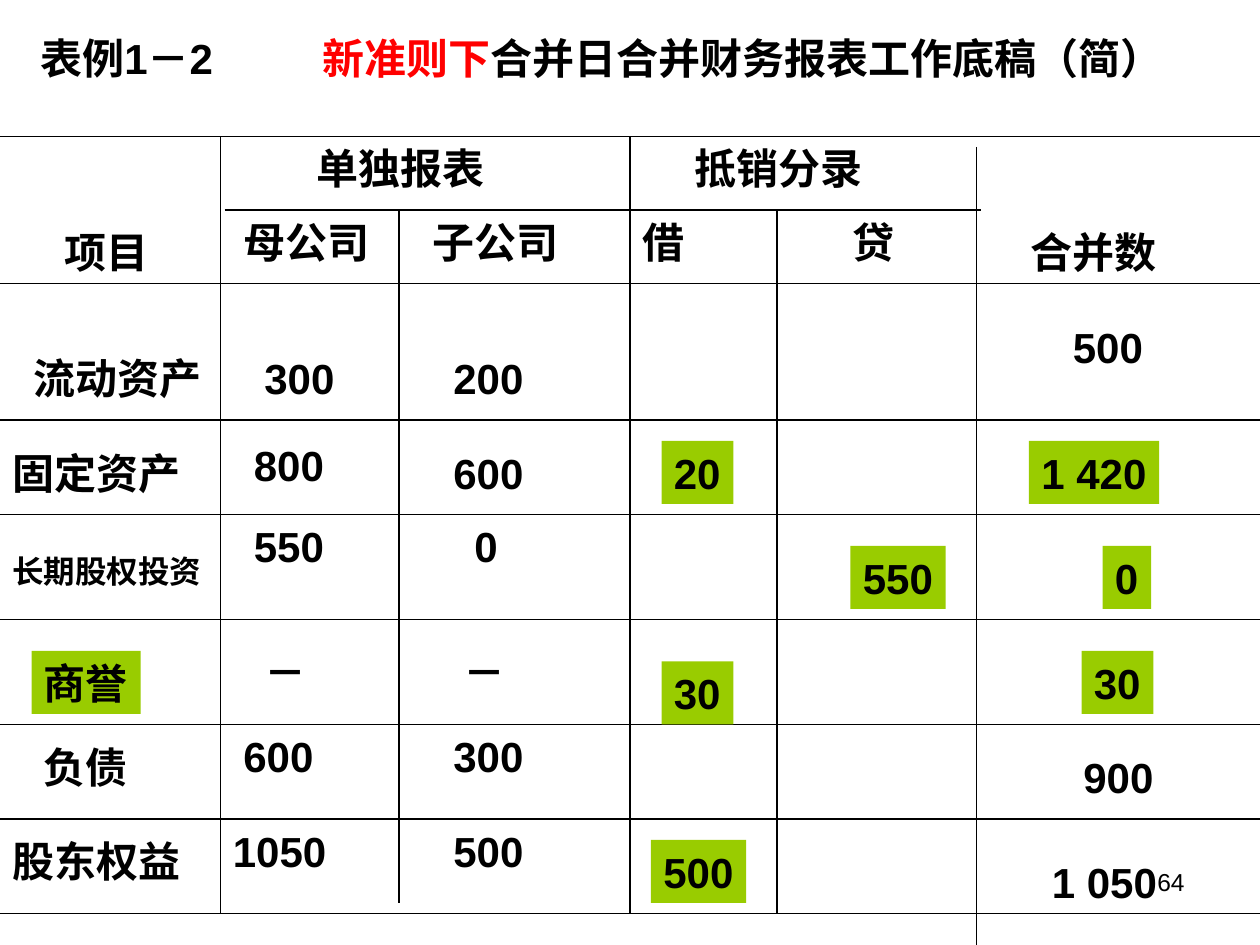
from lxml import etree
from pptx import Presentation, util as u
from pptx.dml.color import RGBColor
from pptx.enum import lang, shapes, text
from pptx.oxml.ns import qn

UNIT = u.Inches(1) // 12  # grid step: the slide is 120 columns by 90 rows
BLACK, RED, GREEN = "000000", "FF0000", "99CC00"

# Row tops below the table's top edge, then the bottom edge
HEADER, *ROW_TOPS, BOTTOM = 0, 14, 27, 36, 46, 56, 65, 74
# Vertical rules: column, first row, last row
RULES = [(21, 0, BOTTOM), (38, 7, 73), (60, 0, BOTTOM), (74, 7, BOTTOM), (93, 1, 77)]

# Cells: text, column, rows below the row's top, then any format changes
MARK = {"fill": GREEN}
HEADINGS = [
    ("项目", 5, 8), ("单独报表", 29, 0), ("抵销分录", 65, 0), ("合并数", 97, 8),
    ("母公司", 22, 7), ("子公司", 40, 7), ("借", 60, 7), ("贷", 80, 7),
]
ITEMS = [
    [("流动资产", 2, 6), ("300", 24, 6), ("200", 42, 6), ("500", 101, 3)],
    [("固定资产", 0, 2), ("800", 23, 1.3), ("600", 42, 2), ("20", 63, 2, MARK),
     ("1 420", 98, 2, MARK)],
    [("长期股权投资", 0, 3, {"size": 18}), ("550", 23, 0), ("0", 44, 0),
     ("550", 81, 3, MARK), ("0", 105, 3, MARK)],
    [("商誉", 3, 3, MARK), ("－", 24, 2), ("－", 43, 2), ("30", 63, 4, MARK),
     ("30", 103, 3, MARK)],
    [("负债", 3, 1), ("600", 22, 0), ("300", 42, 0), ("900", 102, 2)],
    [("股东权益", 0, 1), ("1050", 21, 0), ("500", 42, 0), ("500", 62, 2, MARK),
     ("1 050", 99, 3)],
]


def rgb(hex_color):
    return RGBColor.from_string(hex_color)


def grid(n):
    return round(n * UNIT)


def add_run(p, words, color=BLACK, size=24, bold=True):
    r = p.add_run()
    r.text = words
    values = {"name": "Arial", "size": u.Pt(size), "bold": bold,
              "language_id": lang.MSO_LANGUAGE_ID.SIMPLIFIED_CHINESE}
    for name, value in values.items():
        setattr(r.font, name, value)
    r.font.color.rgb = rgb(color)


def text_width(words, size):
    """Width in inches: full em for Chinese, Arial advances for digits and spaces."""
    ems = sum(0.278 if c == " " else 0.556 if c.isascii() else 1 for c in words)
    return ems * size / 72 + 0.2


def add_label(s, words, x, y, size=24, fill=None):
    sp = s.shapes.add_textbox(grid(x), grid(y), u.Inches(text_width(words, size)),
                              u.Inches(size / 60 + 0.1))
    if fill:
        sp.fill.solid()
        sp.fill.fore_color.rgb = rgb(fill)
    tf = sp.text_frame
    tf.word_wrap = False
    tf.auto_size = text.MSO_AUTO_SIZE.SHAPE_TO_FIT_TEXT
    add_run(tf.paragraphs[0], words, size=size)


def add_line(s, x1, y1, x2, y2):
    line = s.shapes.add_connector(shapes.MSO_CONNECTOR.STRAIGHT,
                                  *map(grid, (x1, y1, x2, y2)))
    line.line.color.rgb = rgb(BLACK)
    line.line.width = u.Pt(0.75)
    etree.SubElement(line._element.spPr, qn("a:effectLst"))


def add_title(s, left, top, width, height):
    sp = s.shapes.title
    box = {"left": left, "top": top, "width": width, "height": height}
    for name, value in box.items():
        setattr(sp, name, u.Inches(value))
    tf = sp.text_frame
    tf.word_wrap = True
    tf.auto_size = text.MSO_AUTO_SIZE.NONE
    tf.vertical_anchor = text.MSO_ANCHOR.MIDDLE
    p = tf.paragraphs[0]
    p.alignment = text.PP_ALIGN.LEFT
    tabs = etree.SubElement(p._p.get_or_add_pPr(), qn("a:tabLst"))
    etree.SubElement(tabs, qn("a:tab"), pos=str(u.Inches(2.24)), algn="l")
    add_run(p, "表例1－2\t")
    add_run(p, "新准则下", RED)
    add_run(p, "合并日合并财务报表工作底稿（简）")


def add_worksheet(s, left, top, width):
    """Ruled worksheet; its box is given in grid columns and rows."""
    for y in (HEADER, *ROW_TOPS, BOTTOM):
        add_line(s, left, top + y, left + width, top + y)
    add_line(s, left + 21.4, top + 7, left + 93.4, top + 7)
    for x, start, end in RULES:
        add_line(s, left + x, top + start, left + x, top + end)
    for row_top, cells in zip((HEADER, *ROW_TOPS), (HEADINGS, *ITEMS)):
        for words, x, dy, *style in cells:
            add_label(s, words, left + x, top + row_top + dy, **(style[0] if style else {}))


def add_page_number(s, left, top, width, height):
    sp = s.shapes.add_textbox(*map(grid, (left, top, width, height)))
    tf = sp.text_frame
    tf.word_wrap = True
    p = tf.paragraphs[0]
    p.alignment = text.PP_ALIGN.RIGHT
    add_run(p, "64", size=14, bold=False)


def main():
    prs = Presentation()
    prs.slide_width, prs.slide_height = grid(120), grid(90)
    s = prs.slides.add_slide(prs.slide_layouts[5])
    add_title(s, 0.22, 0.21, 9.19, 0.5)
    add_worksheet(s, 0, 13, 120)
    add_page_number(s, 86, 82, 28, 6.2)
    prs.save("out.pptx")


if __name__ == "__main__":
    main()
